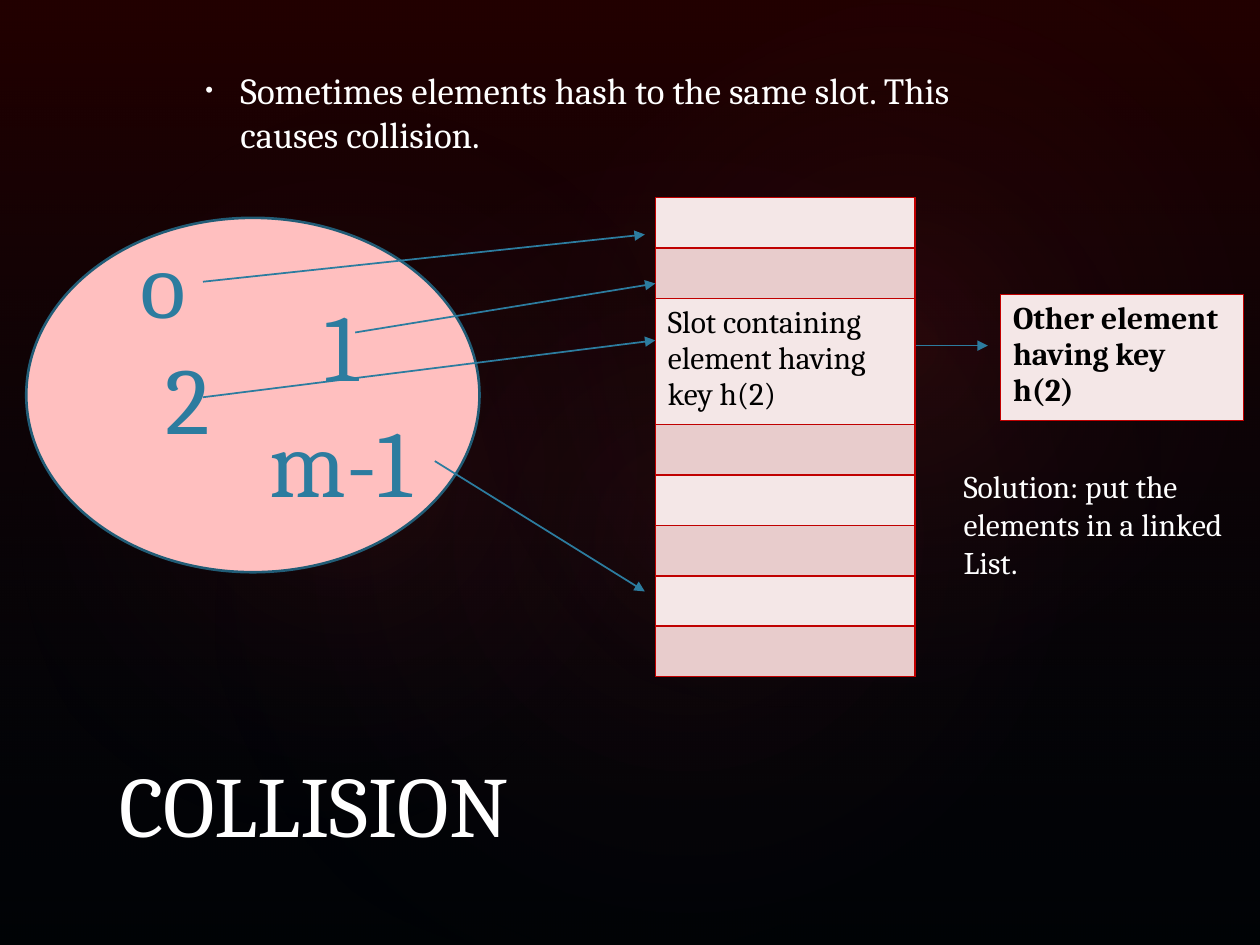
from dataclasses import dataclass

from lxml.etree import SubElement
from pptx import Presentation
from pptx.dml.color import RGBColor
from pptx.enum.shapes import MSO_CONNECTOR, MSO_SHAPE
from pptx.enum.text import MSO_ANCHOR, PP_ALIGN
from pptx.oxml import parse_xml
from pptx.oxml.ns import nsdecls, qn
from pptx.util import Pt


@dataclass(frozen=True)
class Theme:
    font: str = "Cambria"
    white: str = "FFFFFF"
    black: str = "000000"
    blue: str = "2C7C9F"
    rim: str = "215C76"
    pink: str = "FFBFBF"
    red: str = "C00000"
    pale: str = "F4E7E7"
    rose: str = "E8CCCC"
    wine: str = "600000"
    glow: str = "FF4040"
    navy: str = "09213B"
    note: int = 18
    body: int = 21
    title: int = 49
    key: int = 54


@dataclass(frozen=True)
class Box:
    left: float
    top: float
    width: float
    height: float

    def place(self):
        return Pt(self.left), Pt(self.top), Pt(self.width), Pt(self.height)


@dataclass(frozen=True)
class Glow:
    box: Box
    turn: float
    alpha: int


@dataclass(frozen=True)
class Key:
    text: str
    box: Box


@dataclass(frozen=True)
class Arrow:
    x1: float
    y1: float
    x2: float
    y2: float


T = Theme()
WIDE, HIGH = 720, 540
SLOT, TALL = 28.8, 72

GLOWS = [
    Glow(Box(108, 82, 570, 449), 328.7, 7),
    Glow(Box(-21.6, 92, 436, 353), 294.3, 8),
    Glow(Box(258, 9.4, 510, 374), 328.7, 8),
]
KEYS = [
    Key("o", Box(71, 124.5, 45, 73)),
    Key("1", Box(174, 160.5, 42, 73)),
    Key("2", Box(86.5, 191, 42, 73)),
    Key("m-1", Box(140.5, 227, 108, 73)),
]
ARROWS = [
    Arrow(116, 161, 368.5, 134),
    Arrow(203, 190, 374.5, 162),
    Arrow(116, 227, 374.5, 194.5),
    Arrow(248.5, 263.5, 368.5, 338),
    Arrow(523.5, 197.5, 564.5, 197.5),
]
SLOTS = ["", "", "Slot containing element having key h(2)", "", "", "", "", ""]


def rgb(tint: str) -> RGBColor:
    return RGBColor.from_string(tint)


def write(frame, text: str, *, size: int, tint: str, bold: bool = False,
          align=PP_ALIGN.LEFT, anchor=MSO_ANCHOR.TOP, wrap: bool = True) -> None:
    frame.text = text
    frame.word_wrap = wrap
    frame.vertical_anchor = anchor
    for para in frame.paragraphs:
        para.alignment = align
        for run in para.runs:
            font = run.font
            font.name, font.size, font.bold = T.font, Pt(size), bold
            font.color.rgb = rgb(tint)


def label(slide, text: str, box: Box, **style):
    frame = slide.shapes.add_textbox(*box.place()).text_frame
    write(frame, text, **style)
    return frame


def shape(slide, kind, box: Box):
    item = slide.shapes.add_shape(kind, *box.place())
    item.shadow.inherit = False
    item.line.fill.background()
    return item


def fade(item, stops, shade: str) -> None:
    """Fill with a gradient of (place, tint, alpha) stops, in percent."""
    marks = "".join(
        f'<a:gs pos="{pos * 1000}"><a:srgbClr val="{tint}">'
        f'<a:alpha val="{alpha * 1000}"/></a:srgbClr></a:gs>'
        for pos, tint, alpha in stops)
    grad = parse_xml(f'<a:gradFill {nsdecls("a")} rotWithShape="1">'
                     f'<a:gsLst>{marks}</a:gsLst>{shade}</a:gradFill>')
    item._element.spPr.find(qn("a:prstGeom")).addnext(grad)


def arrow(slide, a: Arrow) -> None:
    link = slide.shapes.add_connector(
        MSO_CONNECTOR.STRAIGHT, Pt(a.x1), Pt(a.y1), Pt(a.x2), Pt(a.y2))
    link.line.color.rgb = rgb(T.blue)
    link.line.width = Pt(1)
    SubElement(link.line._get_or_add_ln(), qn("a:tailEnd"), type="triangle")
    SubElement(link._element.spPr, qn("a:effectLst"))


def edge(cell) -> None:
    props = cell._tc.get_or_add_tcPr()
    for side in ("lnL", "lnR", "lnT", "lnB"):
        line = SubElement(props, qn(f"a:{side}"), w=str(Pt(1)))
        fill = SubElement(line, qn("a:solidFill"))
        SubElement(fill, qn("a:srgbClr"), val=T.red)


def grid(slide, texts: list[str], box: Box, bold: bool = False) -> None:
    table = slide.shapes.add_table(len(texts), 1, *box.place()).table
    table.first_row = table.horz_banding = False
    for i, text in enumerate(texts):
        table.rows[i].height = Pt(TALL if text else SLOT)
        cell = table.cell(i, 0)
        edge(cell)
        cell.fill.solid()
        cell.fill.fore_color.rgb = rgb(T.rose if i % 2 else T.pale)
        if text:
            write(cell.text_frame, text, size=T.note, tint=T.black, bold=bold)
        else:
            cell.margin_top = cell.margin_bottom = Pt(2)


def bullet(para) -> None:
    props = para._p.get_or_add_pPr()
    props.set("marL", str(Pt(21.6)))
    props.set("indent", str(Pt(-20)))
    SubElement(props, qn("a:buSzPct"), val="60000")
    SubElement(props, qn("a:buFont"), typeface="Arial")
    SubElement(props, qn("a:buChar"), char="•")


def main() -> None:
    deck = Presentation()
    deck.slide_width, deck.slide_height = Pt(WIDE), Pt(HIGH)
    slide = deck.slides.add_slide(deck.slide_layouts[6])

    # Backdrop: black, a wine tint from the top, three soft glows
    slide.background.fill.solid()
    slide.background.fill.fore_color.rgb = rgb(T.black)
    tint = shape(slide, MSO_SHAPE.RECTANGLE, Box(0, 0, WIDE, HIGH))
    fade(tint, [(0, T.wine, 36), (100, T.navy, 10)],
         '<a:lin ang="5400000" scaled="0"/>')
    for g in GLOWS:
        oval = shape(slide, MSO_SHAPE.OVAL, g.box)
        oval.rotation = g.turn
        fade(oval, [(0, T.glow, g.alpha), (58, T.navy, 0)],
             '<a:path path="circle"><a:fillToRect l="50000" t="50000" '
             'r="50000" b="50000"/></a:path>')

    # Point and title
    point = label(slide, "Sometimes elements hash to the same slot. This causes collision.",
                  Box(108.7, 35, 480, 60), size=T.body, tint=T.white)
    bullet(point.paragraphs[0])
    label(slide, "COLLISION", Box(61, 420, 594, 72), size=T.title,
          tint=T.white, anchor=MSO_ANCHOR.BOTTOM)

    # Set of keys
    pool = shape(slide, MSO_SHAPE.OVAL, Box(15, 124.5, 259, 202.5))
    pool.fill.solid()
    pool.fill.fore_color.rgb = rgb(T.pink)
    pool.line.color.rgb = rgb(T.rim)
    pool.line.width = Pt(1.5)
    for key in KEYS:
        label(slide, key.text, key.box, size=T.key, tint=T.blue,
              align=PP_ALIGN.CENTER, wrap=False)

    # Slots, linked element and arrows
    grid(slide, SLOTS, Box(374.5, 113, 148.5, 7 * SLOT + TALL))
    grid(slide, ["Other element having key h(2)"],
         Box(571.7, 168.3, 139, TALL), bold=True)
    for a in ARROWS:
        arrow(slide, a)

    # Remedy
    label(slide, "Solution: put the\nelements in a linked\nList.",
          Box(543.5, 263.5, 175.5, 73), size=T.note, tint=T.white)

    deck.save("out.pptx")


if __name__ == "__main__":
    main()
